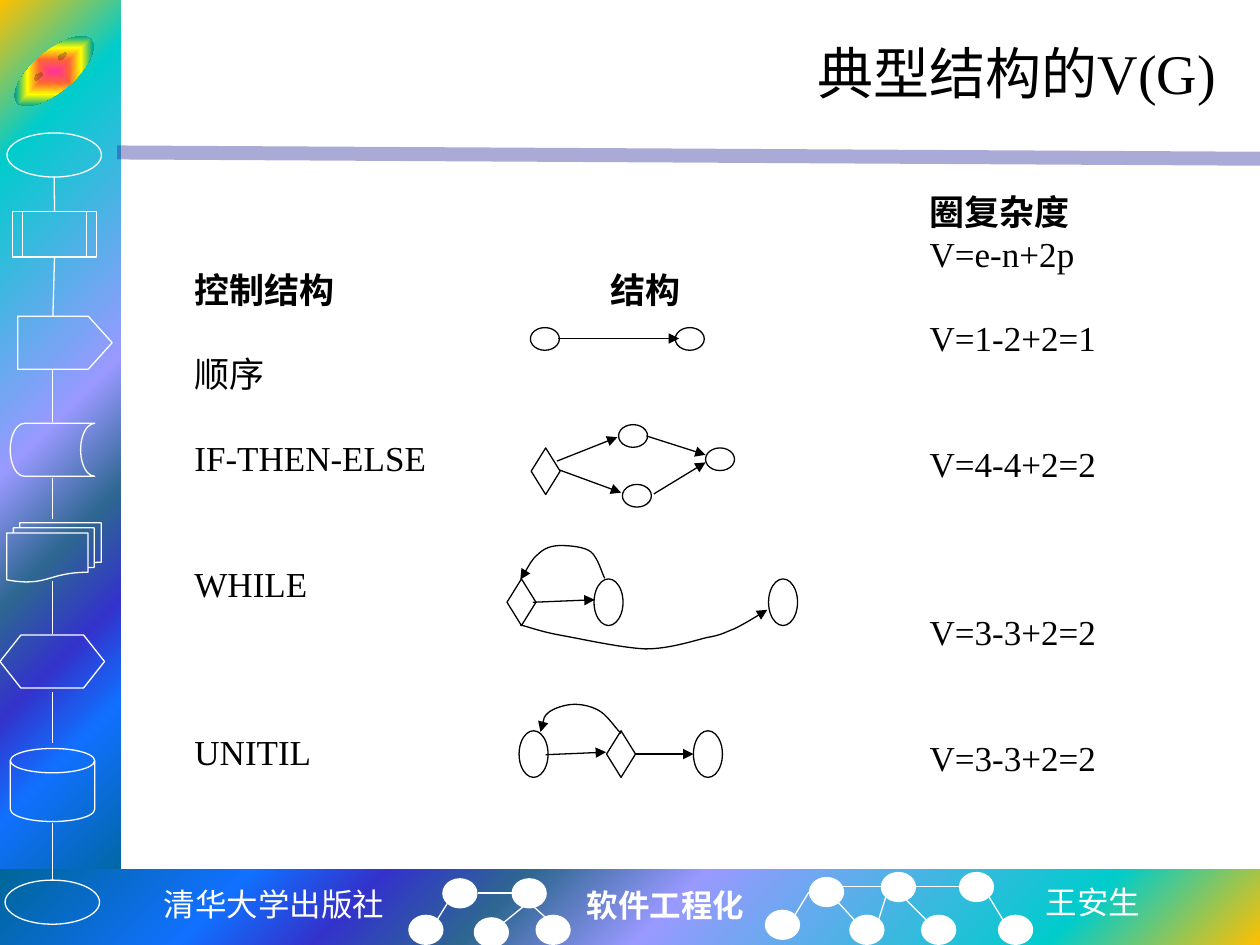
from math import hypot

from lxml import etree
from pptx import Presentation
from pptx.dml.color import RGBColor
from pptx.enum.shapes import MSO_CONNECTOR, MSO_SHAPE
from pptx.enum.text import MSO_ANCHOR, MSO_AUTO_SIZE, PP_ALIGN
from pptx.oxml.ns import qn
from pptx.util import Inches, Pt

WIDTH, HEIGHT = Inches(10), Inches(7.5)
COL, ROW = WIDTH / 100, HEIGHT / 75
LINE_PITCH = 24

WHITE = RGBColor(0xFF, 0xFF, 0xFF)
BLACK = RGBColor(0, 0, 0)
NAVY = RGBColor(0x26, 0x26, 0x99)
BAND = [(0, RGBColor(0xFF, 0xC0, 0x00)), (16, RGBColor(0x00, 0xCC, 0xCC)),
        (47, RGBColor(0x99, 0x99, 0xFF)), (60, RGBColor(0x2E, 0x67, 0x92)),
        (71, RGBColor(0x33, 0x33, 0xCC)), (81, RGBColor(0x11, 0x70, 0xFF)),
        (100, RGBColor(0x00, 0x66, 0x99))]
RAINBOW = [(0, RGBColor(0xFF, 0x33, 0x99)), (25, RGBColor(0xFF, 0x66, 0x33)),
           (50, RGBColor(0xFF, 0xFF, 0x00)), (75, RGBColor(0x01, 0xA7, 0x8F)),
           (100, RGBColor(0x33, 0x66, 0xFF))]

SERIF, MONO, SANS = "Times New Roman", "Noto Sans Mono", "Noto Sans CJK SC"
STRAIGHT = MSO_CONNECTOR.STRAIGHT
RECT, ELLIPSE, DIAMOND = MSO_SHAPE.RECTANGLE, MSO_SHAPE.OVAL, MSO_SHAPE.DIAMOND
PROCESS, PLATE = MSO_SHAPE.FLOWCHART_PREDEFINED_PROCESS, MSO_SHAPE.PENTAGON
STORAGE, DISK = MSO_SHAPE.FLOWCHART_STORED_DATA, MSO_SHAPE.FLOWCHART_MAGNETIC_DISK
DOCUMENTS, HEXAGON = MSO_SHAPE.FLOWCHART_MULTIDOCUMENT, MSO_SHAPE.FLOWCHART_PREPARATION
SMILEY = MSO_SHAPE.SMILEY_FACE
LEFT, RIGHT, MIDDLE = PP_ALIGN.LEFT, PP_ALIGN.RIGHT, MSO_ANCHOR.MIDDLE
CENTER, TOP, GROW = PP_ALIGN.CENTER, MSO_ANCHOR.TOP, MSO_AUTO_SIZE.SHAPE_TO_FIT_TEXT

CHAIN = [(ELLIPSE, 0.55, 10.55, 7.5, 3.5), (PROCESS, 0.98, 16.8, 6.7, 3.6),
         (PLATE, 1.4, 25.1, 7.5, 4.2), (STORAGE, 0.82, 33.6, 6.7, 4.2),
         (DOCUMENTS, 0.53, 41.5, 7.5, 4.7), (HEXAGON, 0, 50.4, 8.3, 4.2),
         (DISK, 0.82, 59.4, 6.7, 5.8), (ELLIPSE, 0.4, 69.85, 7.5, 3.5)]
LINKS = [(4.3, 14, 4.3, 16.8), (4.3, 20.5, 4.2, 25.1), (4.16, 29.3, 4.16, 33.5),
         (4.16, 37.9, 4.16, 41.2), (4.16, 46.1, 4.16, 50.3), (4.16, 54.9, 4.16, 59),
         (4.16, 65.3, 4.16, 69.9)]
NODES = [(35.1, 0.7), (40.6, 0.7), (32.4, 3.6), (37.6, 3.8), (42.5, 3.6),
         (64.2, 0.6), (69.9, 0.2), (76.1, 0.2), (67.4, 3.6), (73.1, 3.6),
         (79.2, 3.6), (60.7, 3.2)]
EDGES = [(34.7, 4, 35.5, 2.7), (40, 4.2, 41.6, 2.9), (40.6, 1.87, 37.9, 1.87),
         (67.8, 4, 66.5, 2.6), (73.5, 4, 71.5, 2), (79.6, 4, 78.5, 2.2),
         (69.7, 4.1, 70.3, 2.2), (72.6, 1.35, 76.1, 1.35), (63.1, 3.6, 64.2, 1.8),
         (66.8, 1.35, 70.3, 1.35), (43.4, 3.9, 42.4, 3)]
SMALL, TALL = (2.3, 1.8), (2.3, 3.7)
GRAPHS = [
    ((42.1, 26), [(ELLIPSE, 0, 0, *SMALL), (ELLIPSE, 11.5, 0, *SMALL)],
     [(2.2, 0.87, 11.8, 0.87)], []),
    ((42.2, 33.7),
     [(ELLIPSE, 6.9, 0, *SMALL), (DIAMOND, -0.04, 1.85, *TALL),
      (ELLIPSE, 7.2, 4.75, *SMALL), (ELLIPSE, 13.8, 1.85, *SMALL)],
     [(2, 2.9, 6.8, 1), (2.2, 3.6, 7.1, 5.4), (9.7, 5.5, 13.8, 3),
      (9.1, 0.9, 13.8, 2.4)], []),
    ((40.2, 43.3),
     [(DIAMOND, 0.04, 2.65, *TALL), (ELLIPSE, 6.95, 2.65, *TALL),
      (ELLIPSE, 20.8, 2.65, *TALL)],
     [(2.1, 4.5, 7, 4.3)],
     [[(7.8, 2.6), (7.6, 2.3), (7.3, 1), (6.7, 0.5), (6.2, 0.1), (5, 0), (4.3, 0),
       (3.6, 0), (3, 0.2), (2.5, 0.7), (2, 1.1), (1.4, 2.3), (1.1, 2.7)],
      [(1.1, 6.3), (1.6, 6.4), (2.6, 6.8), (4.2, 7.1), (5.9, 7.4), (9, 8.1),
       (11, 8.2), (12.9, 8.2), (14.7, 7.6), (15.9, 7.3), (17.1, 7.1), (17.3, 6.9),
       (18.1, 6.6), (18.9, 6.2), (20.2, 5.4), (20.7, 5.1)]]),
    ((41.2, 55.9),
     [(ELLIPSE, 0, 2.1, *TALL), (DIAMOND, 6.94, 2.1, *TALL), (ELLIPSE, 13.84, 2.1, *TALL)],
     [(2.1, 4, 6.9, 3.8), (9.24, 3.95, 13.84, 3.95)],
     [[(8.1, 2.3), (7.8, 2.1), (7.1, 1), (6.5, 0.6), (5.9, 0.2), (5.1, 0), (4.4, 0),
       (3.7, 0), (2.8, 0.3), (2.4, 0.6), (1.9, 1), (1.8, 1.9), (1.7, 2.2)]])]
COLUMNS = [((11.45, 20.8, 26, 36.9),
            [("控制结构", 0, True), ("顺序", 1, False), ("IF-THEN-ELSE", 1, False),
             ("WHILE", 2, False), ("UNITIL", 3, False)]),
           ((44.5, 20.8, 13.8, 5.5), [("结构", 0, True)]),
           ((69.8, 14.6, 20.7, 48.4),
            [("圈复杂度", 0, True), ("V=e-n+2p", 0, False), ("V=1-2+2=1", 1, False),
             ("V=4-4+2=2", 2, False), ("V=3-3+2=2", 3, False), ("V=3-3+2=2", 2, False)])]


def cells(*values):
    """Turn alternating column and row counts into lengths."""
    return [int(v * (ROW if i % 2 else COL)) for i, v in enumerate(values)]


def stroke(sp, color, width=0.75, arrow=False):
    """Set a line's colour and width, with an optional arrowhead."""
    sp.line.color.rgb, sp.line.width = color, Pt(width)
    ln = sp.element.spPr.find(qn("a:ln"))
    if arrow:
        etree.SubElement(ln, qn("a:tailEnd"), type="triangle")
    return ln


def add_shape(s, kind, box, line=None, fill=None):
    """Add a flat preset shape."""
    sp = s.shapes.add_shape(kind, *cells(*box))
    sp.shadow.inherit = False
    sp.fill.background()
    if fill is not None:
        sp.fill.solid()
        sp.fill.fore_color.rgb = fill
    if line is None:
        sp.line.fill.background()
    else:
        stroke(sp, line)
    return sp


def add_line(s, ends, color, width=0.75, arrow=False):
    """Add a straight connector without a shadow."""
    cx = s.shapes.add_connector(STRAIGHT, *cells(*ends))
    stroke(cx, color, width, arrow)
    etree.SubElement(cx.element.spPr, qn("a:effectLst"))
    return cx


def add_gradient(sp, stops, focus, path):
    """Replace a shape's fill with a path gradient."""
    grad = etree.Element(qn("a:gradFill"), rotWithShape="1")
    gs_lst = etree.SubElement(grad, qn("a:gsLst"))
    for pos, color in stops:
        gs = etree.SubElement(gs_lst, qn("a:gs"), pos=str(pos * 1000))
        etree.SubElement(gs, qn("a:srgbClr"), val=str(color))
    node = etree.SubElement(grad, qn("a:path"))
    node.set("path", path)
    etree.SubElement(node, qn("a:fillToRect"),
                     {side: str(v * 1000) for side, v in zip("ltrb", focus)})
    spPr = sp.element.spPr
    spPr.replace(spPr.find(qn("a:noFill")), grad)


def add_curve(s, left, top, pts):
    """Draw a chain of cubic Bezier segments ending in an arrowhead."""
    pts = [cells(left + x, top + y) for x, y in pts]
    fb = s.shapes.build_freeform(*pts[0])
    fb.add_line_segments(pts[1:], close=False)
    sp = fb.convert_to_shape()
    sp.shadow.inherit = False
    sp.fill.background()
    stroke(sp, BLACK, arrow=True)
    outline = sp.element.spPr.find(".//" + qn("a:path"))
    steps = outline.findall(qn("a:lnTo"))
    for i in range(0, len(steps), 3):
        curve = etree.SubElement(outline, qn("a:cubicBezTo"))
        for step in steps[i:i + 3]:
            curve.append(step[0])
            outline.remove(step)


def add_text(s, box, items, size, font, color, align=LEFT, anchor=TOP,
             wrap=True, indent=0):
    """Add a text box whose items are (text, skipped lines, bold)."""
    tb = s.shapes.add_textbox(*cells(*box))
    tf = tb.text_frame
    tf.word_wrap, tf.vertical_anchor = wrap, anchor
    if not wrap:
        tf.auto_size = GROW
    for i, (text, skipped, bold) in enumerate(items):
        p = tf.add_paragraph() if i else tf.paragraphs[0]
        p.alignment = align
        if indent:
            p.line_spacing = Pt(LINE_PITCH)
            p._p.get_or_add_pPr().set("indent", str(cells(indent)[0]))
        if skipped:
            p.space_before = Pt(skipped * LINE_PITCH)
        r = p.add_run()
        r.text = text
        r.font.size, r.font.name, r.font.bold = Pt(size), font, bold
        r.font.color.rgb = color


def draw_backdrop(s, side, foot, rule):
    """Draw the two gradient bands and the translucent rule."""
    add_gradient(add_shape(s, RECT, side), BAND, (0, 0, 100, 100), "circle")
    add_gradient(add_shape(s, RECT, foot), BAND, (100, 100, 0, 0), "circle")
    ln = stroke(add_line(s, rule, NAVY), NAVY, 8)
    etree.SubElement(ln.find(".//" + qn("a:srgbClr")), qn("a:alpha"), val="39000")


def draw_sidebar(s, left, top):
    """Draw the badge and the chain of flowchart symbols."""
    badge = add_shape(s, SMILEY, (left + 0.45, top + 4.05, 7.7, 3.2))
    badge.adjustments[0], badge.rotation = 0.047, 320
    add_gradient(badge, RAINBOW, (50, 50, 50, 50), "rect")
    symbols = [add_shape(s, kind, (left + x, top + y, w, h), WHITE)
               for kind, x, y, w, h in CHAIN]
    symbols[2].adjustments[0] = 0.45
    links = [add_line(s, (left + x1, top + y1, left + x2, top + y2), WHITE)
             for x1, y1, x2, y2 in LINKS]
    links[0].end_connect(symbols[1], 0)
    links[1].begin_connect(symbols[1], 2)


def draw_footer(s, left, top):
    """Draw the footer captions and the two node trees."""
    for box, text, font, bold, align in [
            ((11.9, 0.75, 19.7, 4), "清华大学出版社", MONO, False, CENTER),
            ((45.6, 0.8, 14.6, 4), "软件工程化", SERIF, True, LEFT),
            ((82, 0.6, 9.6, 4), "王安生", SANS, False, LEFT)]:
        add_text(s, (left + box[0], top + box[1], *box[2:]), [(text, 0, bold)],
                 18, font, WHITE, align, wrap=False)
    for x, y in NODES:
        add_shape(s, ELLIPSE, (left + x, top + y, 2.8, 2.4), fill=WHITE)
    for x1, y1, x2, y2 in EDGES:
        add_line(s, (left + x1, top + y1, left + x2, top + y2), WHITE)


def draw_graph(s, left, top, nodes, arrows, curves):
    """Draw one control-flow graph."""
    shapes = [add_shape(s, kind, (left + x, top + y, w, h), BLACK)
              for kind, x, y, w, h in nodes]
    for x1, y1, x2, y2 in arrows:
        cx = add_line(s, (left + x1, top + y1, left + x2, top + y2), BLACK, arrow=True)
        for sp, (kind, x, y, w, h) in zip(shapes, nodes):
            if kind == DIAMOND and hypot(x + w - x1, y + h / 2 - y1) < 0.05:
                cx.begin_connect(sp, 3)
    for pts in curves:
        add_curve(s, left, top, pts)


def main():
    """Build and save the slide."""
    prs = Presentation()
    prs.slide_width, prs.slide_height = WIDTH, HEIGHT
    s = prs.slides.add_slide(prs.slide_layouts[6])
    draw_backdrop(s, (0, 0, 9.6, 70.9), (0, 69, 100, 6), (9.3, 12.1, 100, 12.6))
    draw_sidebar(s, 0, 0)
    draw_footer(s, 0, 69)
    add_text(s, (12.5, 1.7, 85, 8.1), [("典型结构的V(G)", 0, False)], 32, SERIF, BLACK,
             RIGHT, MIDDLE)
    for (left, top), nodes, arrows, curves in GRAPHS:
        draw_graph(s, left, top, nodes, arrows, curves)
    for box, items in COLUMNS:
        add_text(s, box, items, 20, SERIF, BLACK, indent=3)
    prs.save("out.pptx")


if __name__ == "__main__":
    main()
